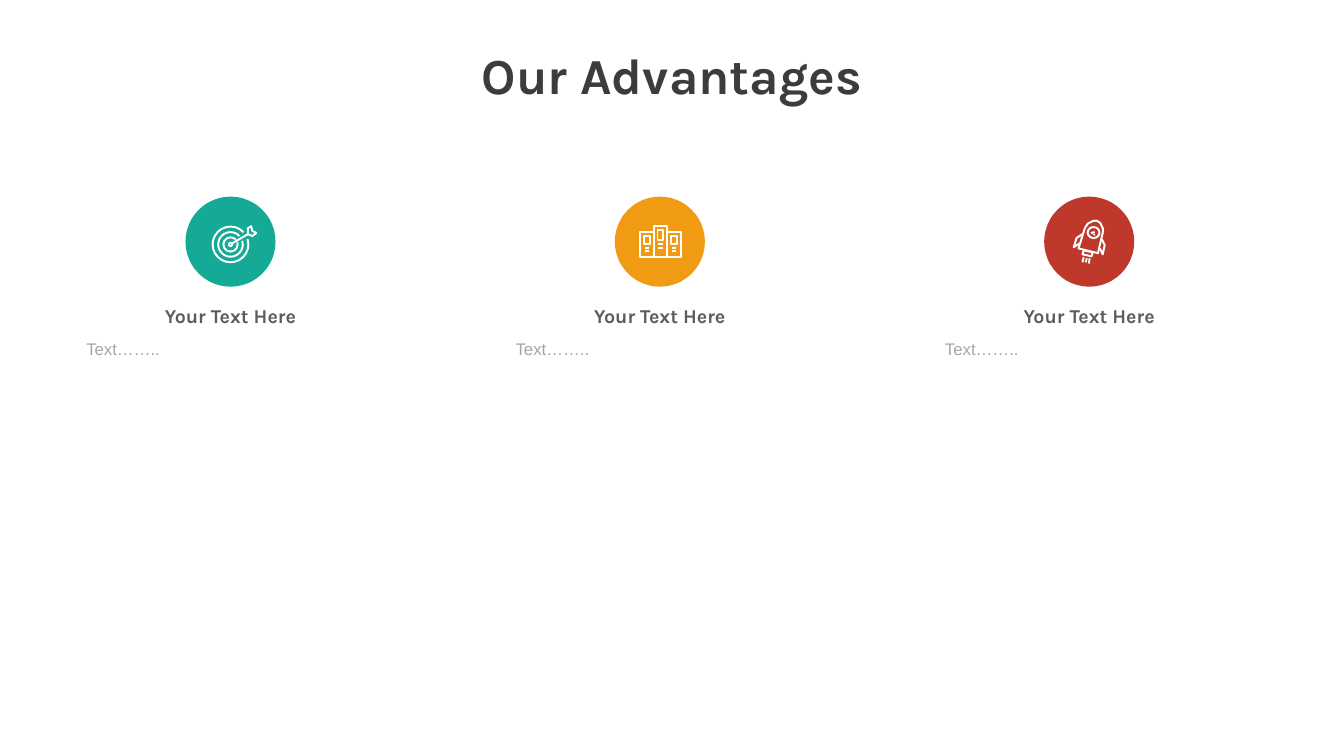
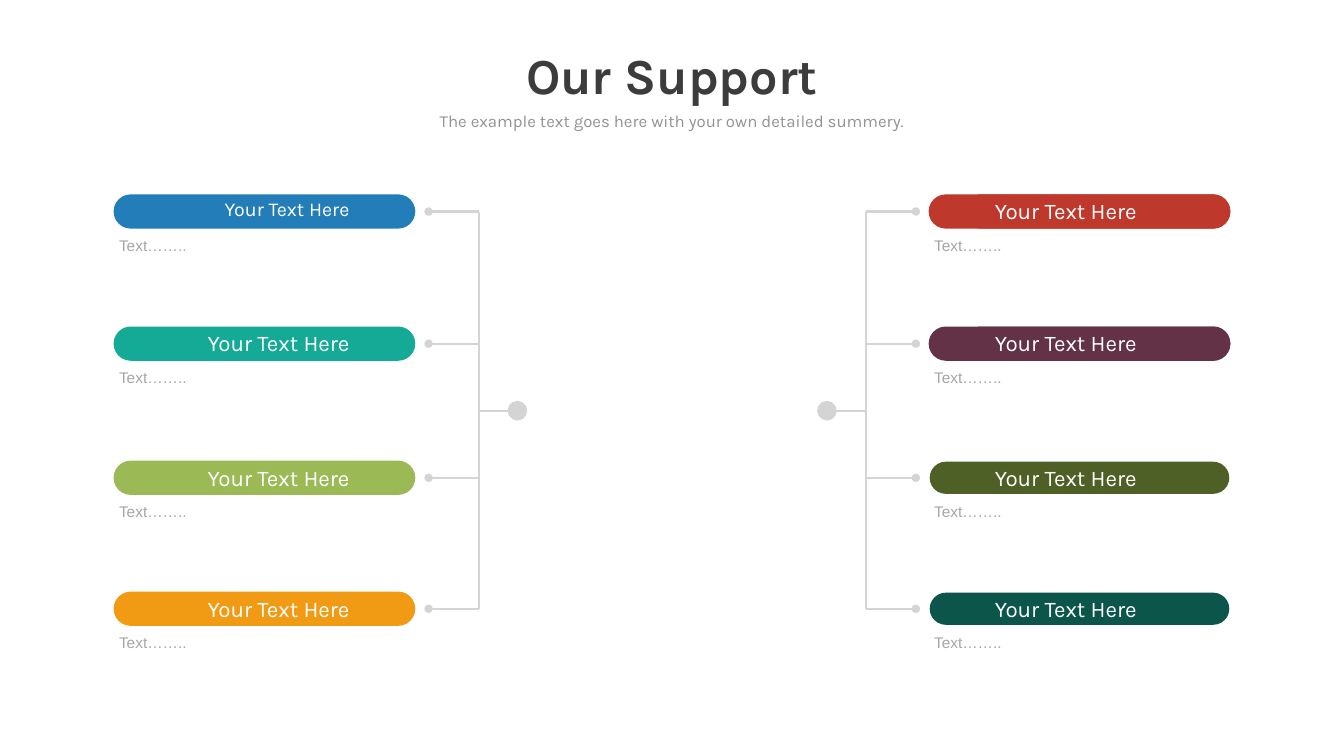
from lxml.etree import SubElement
from pptx import Presentation
from pptx.dml.color import RGBColor
from pptx.enum.shapes import MSO_CONNECTOR as LINK, MSO_SHAPE as SHAPE
from pptx.enum.text import MSO_ANCHOR as ANCHOR, PP_ALIGN as ALIGN
from pptx.oxml.ns import qn
from pptx.util import Cm, Pt


class Theme:
    white, grey = "FFFFFF", "D4D4D4"
    teal, orange, red = "15AA96", "F19B14", "BE382C"
    blue, green = "237DB9", "9BB955"
    plum, olive, pine = "633247", "4F6027", "0B554B"
    icon_weight, line_weight, hub_weight, core_weight = 1.38, 1.5, 1, 0.5
    # text style: colour, then font attributes
    title = "3C3C3C", {"name": "Karla", "size": Pt(36), "bold": True}
    subtitle = "929292", {"name": "Karla", "size": Pt(12)}
    heading = "5C5C5C", {"name": "Karla", "size": Pt(14), "bold": True}
    body = "A6A6A6", {"name": "Arial", "size": Pt(12)}
    note = "A6A6A6", {"name": "Arial", "size": Pt(11)}
    label = white, {"name": "Karla", "size": Pt(16)}
    small_label = white, {"name": "Karla", "size": Pt(14)}


def add_text(slide, box, text, style, align=ALIGN.LEFT, spacing=None, anchor=ANCHOR.TOP):
    frame = slide.shapes.add_textbox(*map(Cm, box)).text_frame
    frame.word_wrap = True
    frame.vertical_anchor = anchor
    paragraph = frame.paragraphs[0]
    paragraph.alignment = align
    paragraph.line_spacing = spacing
    run = paragraph.add_run()
    run.text = text
    color, font_values = style
    run.font.color.rgb = RGBColor.from_string(color)
    for attribute, value in font_values.items():
        setattr(run.font, attribute, value)


def paint(item, line=None, weight=Theme.line_weight, fill=None):
    if fill:
        item.fill.solid()
        item.fill.fore_color.rgb = RGBColor.from_string(fill)
    elif hasattr(item, "fill"):
        item.fill.background()
    if line:
        item.line.color.rgb = RGBColor.from_string(line)
        item.line.width = Pt(weight)
    else:
        item.line.fill.background()
    SubElement(item.element.spPr, qn("a:effectLst"))


prs = Presentation()
prs.slide_width, prs.slide_height = Cm(33.87), Cm(19.05)
center_x = 16.94

# Slides with their titles
advantages, support = [prs.slides.add_slide(prs.slide_layouts[6]) for _ in range(2)]
for slide, title in ((advantages, "Our Advantages"), (support, "Our Support")):
    add_text(slide, (8.26, 1.37, 17.35, 1.42), title, Theme.title, ALIGN.CENTER, Pt(32))

# Icons, in cm from the centre of their disc; boxes end with their adjustments
target = {
    "outlines": [([(0.55, -0.14), (0.44, -0.19), (0.44, -0.34),
                   (0.52, -0.39), (0.55, -0.27), (0.65, -0.22)], True)],
    "boxes": [(SHAPE.OVAL, -0.04, 0.03, 0.08, 0.08, ())],
    "lines": [(0.01, 0.06, 0.44, -0.19)],
}
# An arc's adjustment is its angle in degrees times 0.6
ring_gap = (343 * 0.6, 317 * 0.6)
for radius in (0.45, 0.31, 0.18):
    target["boxes"].append((SHAPE.ARC, -radius, 0.07 - radius, 2 * radius, 2 * radius, ring_gap))

cabinets = {"outlines": [], "boxes": [], "lines": []}
for x, top, window_height, label_rows in ((-0.49, -0.24, 0.2, (0.17, 0.24)),
                                          (-0.15, -0.39, 0.25, (0.06, 0.17)),
                                          (0.19, -0.24, 0.2, (0.17, 0.24))):
    cabinets["boxes"] += [(SHAPE.RECTANGLE, x, top, 0.34, 0.39 - top, ()),
                          (SHAPE.RECTANGLE, x + 0.09, top + 0.1, 0.15, window_height, ())]
    cabinets["lines"] += [(x + 0.11, y, x + 0.22, y) for y in label_rows]

rocket = {
    "outlines": [
        ([(0.22, 0.29), (0.34, -0.22), (0.35, -0.32), (0.28, -0.47),
          (0.19, -0.53), (0.09, -0.52), (-0.04, -0.45), (-0.11, -0.34), (-0.27, 0.17)], True),
        ([(-0.14, 0.22), (0.09, 0.27), (0.06, 0.37), (-0.17, 0.32)], True),
        ([(-0.17, -0.19), (-0.32, -0.09), (-0.39, 0.14), (-0.24, 0.04)], False),
        ([(0.32, -0.06), (0.39, 0.09), (0.34, 0.32), (0.27, 0.17)], False),
    ],
    "boxes": [(SHAPE.OVAL, -0.04, -0.37, 0.3, 0.28, ())],
    "lines": [(-0.14, 0.39, -0.17, 0.52), (-0.06, 0.42, -0.09, 0.52), (0.01, 0.42, -0.01, 0.55),
              (0.14, -0.24, 0.04, -0.22), (0.14, -0.19, 0.11, -0.17)],
}

# Advantages: three columns of disc, icon, heading and text
disc_y, disc_size, column_width = 6.09, 2.27, 7.77
for column, (color, icon) in enumerate(((Theme.teal, target), (Theme.orange, cabinets),
                                        (Theme.red, rocket))):
    disc_x = 5.81 + 10.82 * column
    left = disc_x - column_width / 2
    add_text(advantages, (left, 8.41, column_width, 0.76), "Text……..", Theme.body)
    add_text(advantages, (left, 7.35, column_width, 0.97), "Your Text Here",
             Theme.heading, ALIGN.CENTER, 1.3)
    disc = advantages.shapes.add_shape(SHAPE.OVAL, Cm(disc_x - disc_size / 2),
                                       Cm(disc_y - disc_size / 2), Cm(disc_size), Cm(disc_size))
    paint(disc, fill=color)

    strokes = []
    for points, closed in icon["outlines"]:
        start, *rest = [(Cm(disc_x + x), Cm(disc_y + y)) for x, y in points]
        outline = advantages.shapes.build_freeform(*start)
        outline.add_line_segments(rest, close=closed)
        strokes.append(outline.convert_to_shape())
    for kind, x, y, width, height, adjustments in icon["boxes"]:
        box = advantages.shapes.add_shape(
            kind, Cm(disc_x + x), Cm(disc_y + y), Cm(width), Cm(height))
        for index, value in enumerate(adjustments):
            box.adjustments[index] = value
        strokes.append(box)
    for x1, y1, x2, y2 in icon["lines"]:
        strokes.append(advantages.shapes.add_connector(
            LINK.STRAIGHT, Cm(disc_x + x1), Cm(disc_y + y1), Cm(disc_x + x2), Cm(disc_y + y2)))
    for stroke in strokes:
        paint(stroke, Theme.white, Theme.icon_weight)

# Support: subtitle
add_text(support, (8.5, 2.67, 16.87, 0.76),
         "The example text goes here with your own detailed summery.",
         Theme.subtitle, ALIGN.CENTER, anchor=ANCHOR.MIDDLE)

# Support: mirrored halves of bracket and pills
row_y = (5.33, 8.66, 12.04, 15.34)
middle_y = (row_y[1] + row_y[2]) / 2
hub_size, pill_width, pill_height, cap_width = 0.46, 7.55, 0.81, 6.32
capped, borderless = (Theme.red, Theme.plum), (Theme.olive, Theme.pine)
halves = (
    (1, 23.43, 1.39, ALIGN.LEFT, (Theme.red, Theme.plum, Theme.olive, Theme.pine)),
    (-1, 2.89, 1.01, ALIGN.RIGHT, (Theme.blue, Theme.teal, Theme.green, Theme.orange)),
)
for side, pill_x, label_indent, align, colors in halves:
    # Bracket: stem, spine with its core, branches
    hub_x, spine_x, branch_x = [center_x + side * reach for reach in (3.9, 4.88, 6.14)]
    hub = support.shapes.add_shape(SHAPE.OVAL, Cm(hub_x - hub_size / 2),
                                   Cm(middle_y - hub_size / 2), Cm(hub_size), Cm(hub_size))
    paint(hub, Theme.grey, Theme.hub_weight, Theme.grey)
    bracket = [(hub_x + side * hub_size / 2, middle_y, spine_x, middle_y, Theme.line_weight),
               (spine_x, 8.15, spine_x, 12.73, Theme.core_weight),
               (spine_x, row_y[0], spine_x, middle_y, Theme.line_weight),
               (spine_x, middle_y, spine_x, row_y[-1], Theme.line_weight)]
    bracket += [(spine_x, y, branch_x, y, Theme.line_weight) for y in row_y]
    for *ends, weight in bracket:
        arm = support.shapes.add_connector(LINK.STRAIGHT, *map(Cm, ends))
        paint(arm, Theme.grey, weight)
        if ends[2] == branch_x:
            SubElement(arm.element.spPr.find(qn("a:ln")), qn("a:tailEnd"), type="oval")

    # Pills with label and text
    for color, y in zip(colors, row_y):
        pill = support.shapes.add_shape(SHAPE.ROUNDED_RECTANGLE, Cm(pill_x),
                                        Cm(y - pill_height / 2), Cm(pill_width), Cm(pill_height))
        pill.adjustments[0] = 0.5
        paint(pill, None if color in borderless else color, fill=color)
        if color in capped:
            cap_x = pill_x + pill_width - cap_width / 2
            cap = support.shapes.add_shape(
                SHAPE.ROUND_2_SAME_RECTANGLE, Cm(cap_x - pill_height / 2), Cm(y - cap_width / 2),
                Cm(pill_height), Cm(cap_width))
            cap.rotation = 90
            cap.adjustments[0] = 0.5
            paint(cap, color, fill=color)
        add_text(support, (pill_x + label_indent, y - 0.48, 5.16, 0.94), "Your Text Here",
                 Theme.small_label if color == Theme.blue else Theme.label, align)
        add_text(support, (pill_x - 0.14, y + 0.49, 7.85, 0.74), "Text……..", Theme.note)

prs.save("out.pptx")
